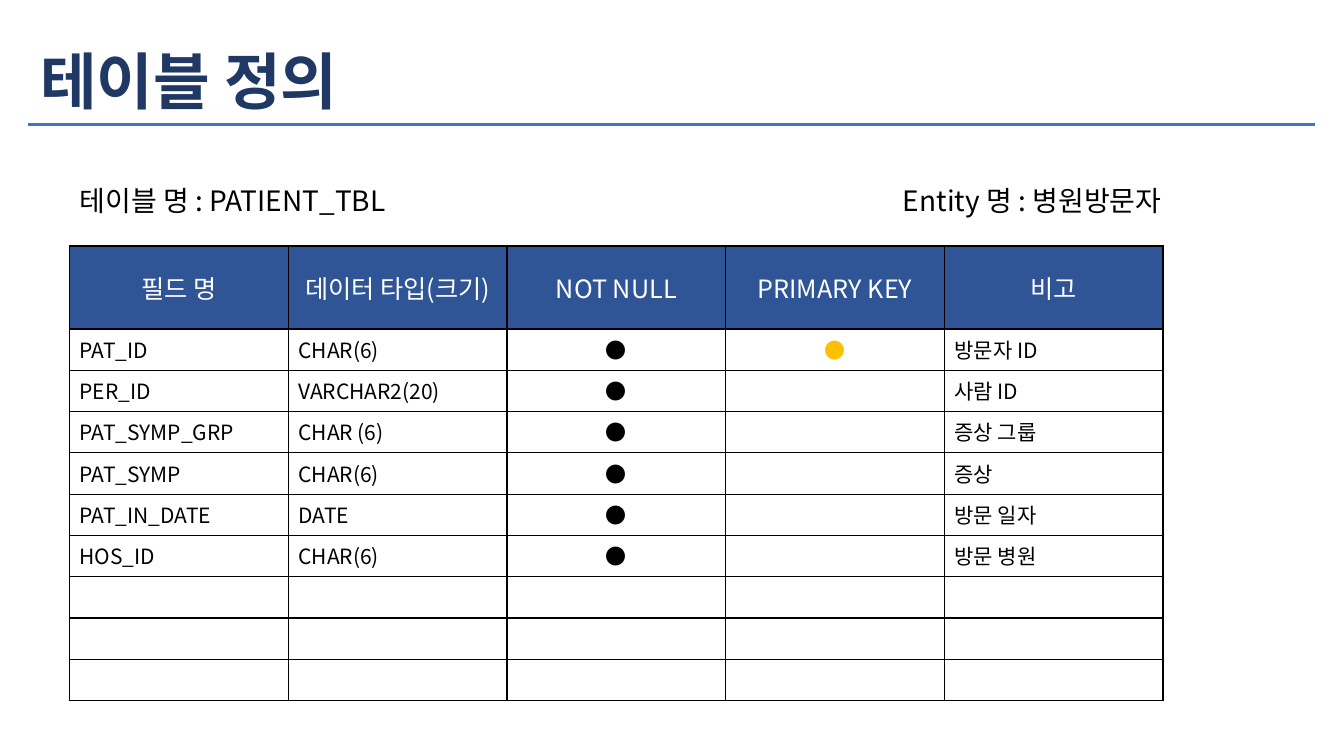
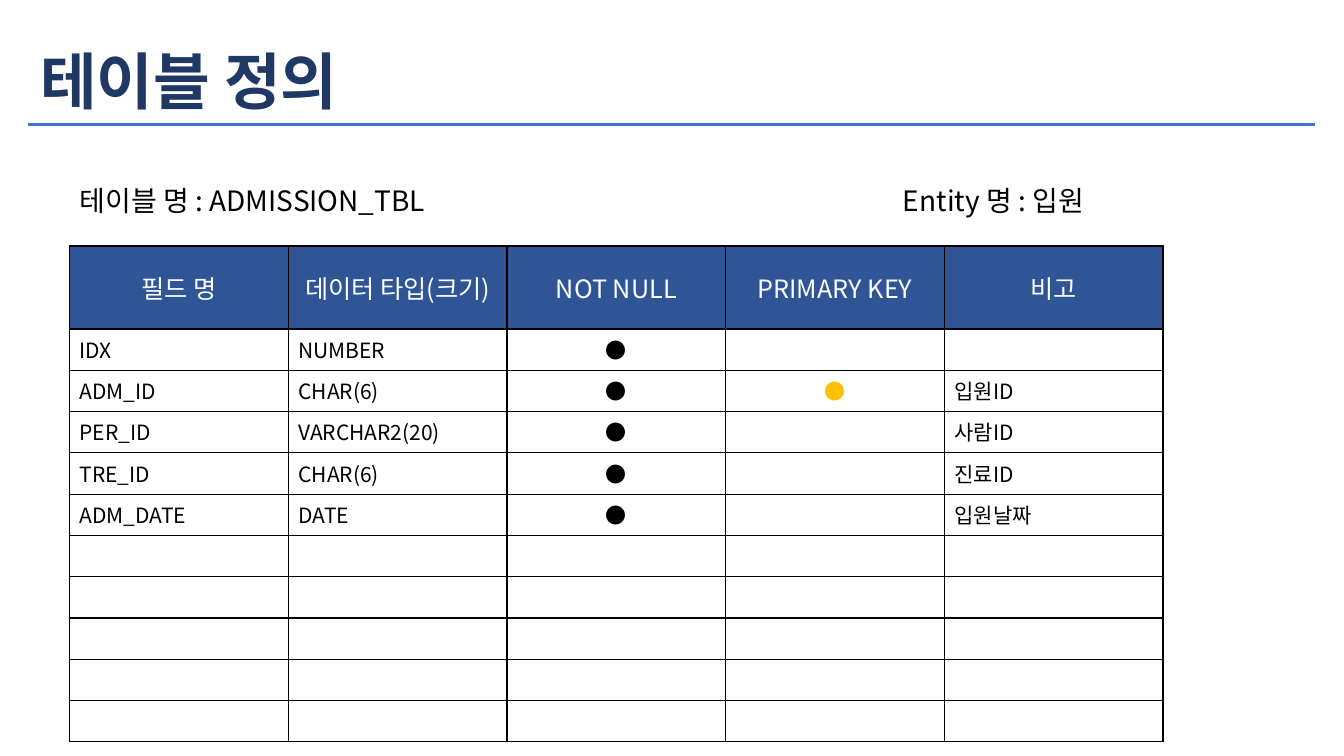
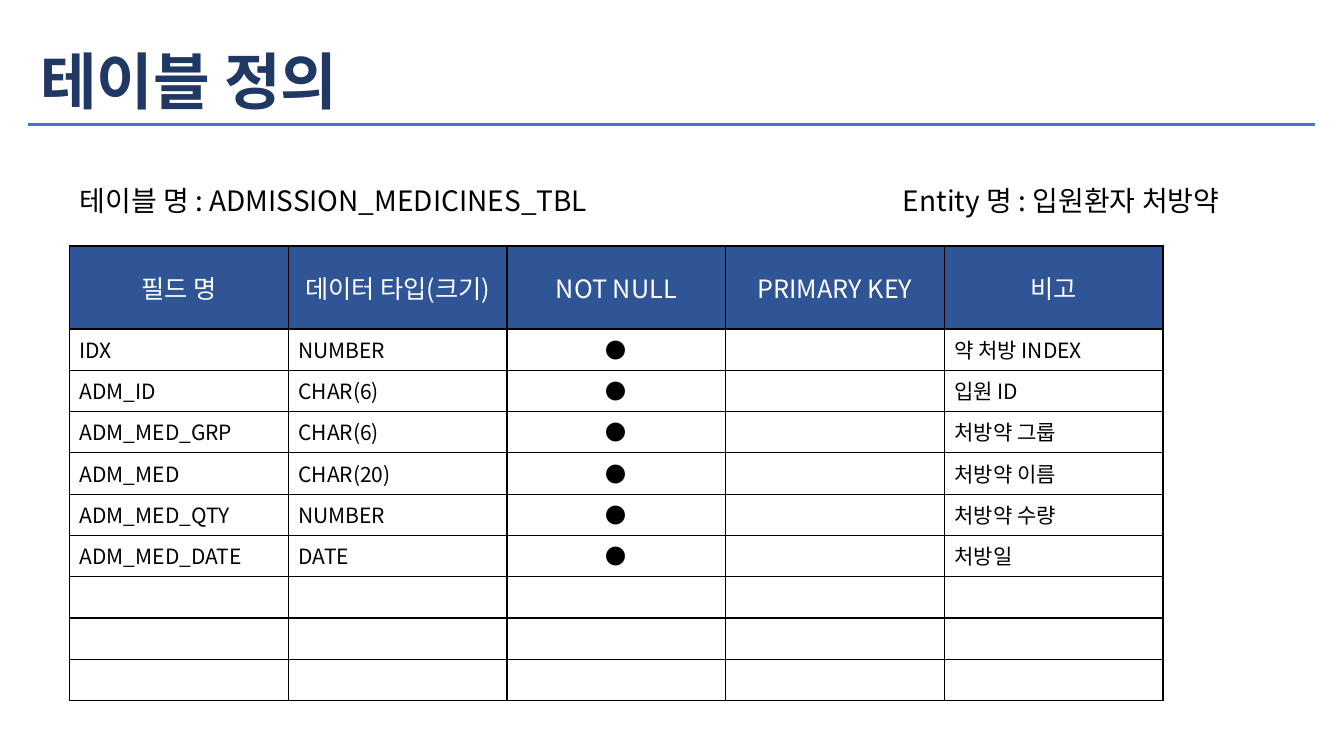
"""Build three slides that define database tables field by field."""
from lxml import etree
from pptx import Presentation
from pptx.dml.color import RGBColor
from pptx.enum import shapes, text
from pptx.oxml import ns
from pptx.util import Pt

NAVY = RGBColor(0x20, 0x38, 0x64)
HEADER_BLUE = RGBColor(0x2F, 0x55, 0x97)
RULE_BLUE = RGBColor(0x44, 0x72, 0xC4)
GOLD = RGBColor(0xFF, 0xC0, 0x00)
BLACK = RGBColor(0, 0, 0)
WHITE = RGBColor(0xFF, 0xFF, 0xFF)
FONT = "Noto Sans CJK KR"

TITLE = "테이블 정의"
HEADINGS = ["필드 명", "데이터 타입(크기)", "NOT NULL", "PRIMARY KEY", "비고"]
DOT = "●"
DEFINITIONS = [
    {"table": "PATIENT_TBL", "entity": "병원방문자", "key": "PAT_ID", "blank_rows": 3,
     "fields": [
         ("PAT_ID", "CHAR(6)", "방문자 ID"),
         ("PER_ID", "VARCHAR2(20)", "사람 ID"),
         ("PAT_SYMP_GRP", "CHAR (6)", "증상 그룹"),
         ("PAT_SYMP", "CHAR(6)", "증상"),
         ("PAT_IN_DATE", "DATE", "방문 일자"),
         ("HOS_ID", "CHAR(6)", "방문 병원")]},
    {"table": "ADMISSION_TBL", "entity": "입원", "key": "ADM_ID", "blank_rows": 5,
     "fields": [
         ("IDX", "NUMBER", ""),
         ("ADM_ID", "CHAR(6)", "입원ID"),
         ("PER_ID", "VARCHAR2(20)", "사람ID"),
         ("TRE_ID", "CHAR(6)", "진료ID"),
         ("ADM_DATE", "DATE", "입원날짜")]},
    {"table": "ADMISSION_MEDICINES_TBL", "entity": "입원환자 처방약", "key": None,
     "blank_rows": 3, "name_width": 553.7,
     "fields": [
         ("IDX", "NUMBER", "약 처방 INDEX"),
         ("ADM_ID", "CHAR(6)", "입원 ID"),
         ("ADM_MED_GRP", "CHAR(6)", "처방약 그룹"),
         ("ADM_MED", "CHAR(20)", "처방약 이름"),
         ("ADM_MED_QTY", "NUMBER", "처방약 수량"),
         ("ADM_MED_DATE", "DATE", "처방일")]},
]

TABLE_LEFT, TABLE_TOP, COLUMN_WIDTH = 49.7, 175.7, 156.24
HEADER_HEIGHT, ROW_HEIGHT = 43.9, 29.5
LABEL_TOP, LABEL_HEIGHT, LABEL_WIDTH, ENTITY_LEFT = 126, 36.7, 322.5, 637.9

TITLE_FORMAT = {"size": Pt(44), "bold": True, "color": NAVY}
LABEL_FORMAT = {"size": Pt(20), "color": BLACK}
HEADING_FORMAT = {"size": Pt(18), "color": WHITE}
FIELD_FORMAT = {"size": Pt(15), "color": BLACK}
KEY_FORMAT = {**FIELD_FORMAT, "color": GOLD}


def write(frame, words, look, align=text.PP_ALIGN.LEFT, spacing=None):
    """Fill a text frame with one formatted paragraph."""
    paragraph = frame.paragraphs[0]
    paragraph.alignment = align
    paragraph.line_spacing = spacing
    if not words:
        etree.SubElement(paragraph._p, ns.qn("a:endParaRPr"), sz=str(int(look["size"].pt * 100)))
        return
    run = paragraph.add_run()
    run.text = words
    run.font.name = FONT
    for name, value in look.items():
        if name == "color":
            run.font.color.rgb = value
        else:
            setattr(run.font, name, value)
    etree.SubElement(run._r.get_or_add_rPr(), ns.qn("a:ea"), typeface=FONT)


def place(shape, left, top, width, height):
    """Set the position and size of a shape in points."""
    for name, value in zip(("left", "top", "width", "height"), (left, top, width, height)):
        setattr(shape, name, Pt(value))


def add_header(slide):
    """Write the slide title and draw the rule under it."""
    title = slide.shapes.title
    place(title, 21.6, 23, 820, 74.9)
    frame = title.text_frame
    frame.auto_size = text.MSO_AUTO_SIZE.NONE
    frame.vertical_anchor = text.MSO_ANCHOR.MIDDLE
    write(frame, TITLE, TITLE_FORMAT, spacing=0.9)
    rule = slide.shapes.add_shape(
        shapes.MSO_SHAPE.RECTANGLE, Pt(19.4), Pt(87.1), Pt(920.2), Pt(3.6))
    rule.shadow.inherit = False
    rule.fill.solid()
    rule.fill.fore_color.rgb = RULE_BLUE
    rule.line.color.rgb = WHITE
    rule.line.width = Pt(1)


def add_label(slide, words, left, width):
    """Add one of the labels above the table."""
    label = slide.shapes.add_textbox(Pt(left), Pt(LABEL_TOP), Pt(width), Pt(LABEL_HEIGHT))
    frame = label.text_frame
    frame.word_wrap = True
    frame.vertical_anchor = text.MSO_ANCHOR.MIDDLE
    write(frame, words, LABEL_FORMAT, spacing=0.9)


def add_borders(cell):
    """Draw a thin black line on each side of a cell."""
    properties = cell._tc.get_or_add_tcPr()
    for position, side in enumerate(("lnL", "lnR", "lnT", "lnB")):
        line = etree.Element(ns.qn(f"a:{side}"), w=str(int(Pt(1))))
        fill = etree.SubElement(line, ns.qn("a:solidFill"))
        etree.SubElement(fill, ns.qn("a:srgbClr"), val=str(BLACK))
        properties.insert(position, line)


def add_definition(slide, definition):
    """Add the table of fields, with blank rows at its end."""
    rows = [HEADINGS]
    for field, kind, remark in definition["fields"]:
        rows.append([field, kind, DOT, DOT if field == definition["key"] else "", remark])
    rows += [[""] * len(HEADINGS)] * definition["blank_rows"]
    table = slide.shapes.add_table(
        len(rows), len(HEADINGS), Pt(TABLE_LEFT), Pt(TABLE_TOP),
        Pt(COLUMN_WIDTH * len(HEADINGS)),
        Pt(HEADER_HEIGHT + ROW_HEIGHT * (len(rows) - 1))).table
    table.first_row = table.horz_banding = False
    for column in table.columns:
        column.width = Pt(COLUMN_WIDTH)
    for r, row in enumerate(rows):
        table.rows[r].height = Pt(ROW_HEIGHT if r else HEADER_HEIGHT)
        for c, words in enumerate(row):
            cell = table.cell(r, c)
            if r == 0:
                cell.fill.solid()
                cell.fill.fore_color.rgb = HEADER_BLUE
                cell.vertical_anchor = text.MSO_ANCHOR.MIDDLE
                look = HEADING_FORMAT
            else:
                cell.fill.background()
                look = KEY_FORMAT if HEADINGS[c] == "PRIMARY KEY" else FIELD_FORMAT
            centred = r == 0 or words == DOT
            write(cell.text_frame, words, look,
                  text.PP_ALIGN.CENTER if centred else text.PP_ALIGN.LEFT)
            add_borders(cell)


deck = Presentation()
deck.slide_width, deck.slide_height = Pt(960), Pt(540)
for definition in DEFINITIONS:
    slide = deck.slides.add_slide(deck.slide_layouts[5])
    add_definition(slide, definition)
    add_label(slide, f"테이블 명 : {definition['table']}", TABLE_LEFT,
              definition.get("name_width", LABEL_WIDTH))
    add_label(slide, f"Entity 명 : {definition['entity']}", ENTITY_LEFT, LABEL_WIDTH)
    add_header(slide)
deck.save("out.pptx")
